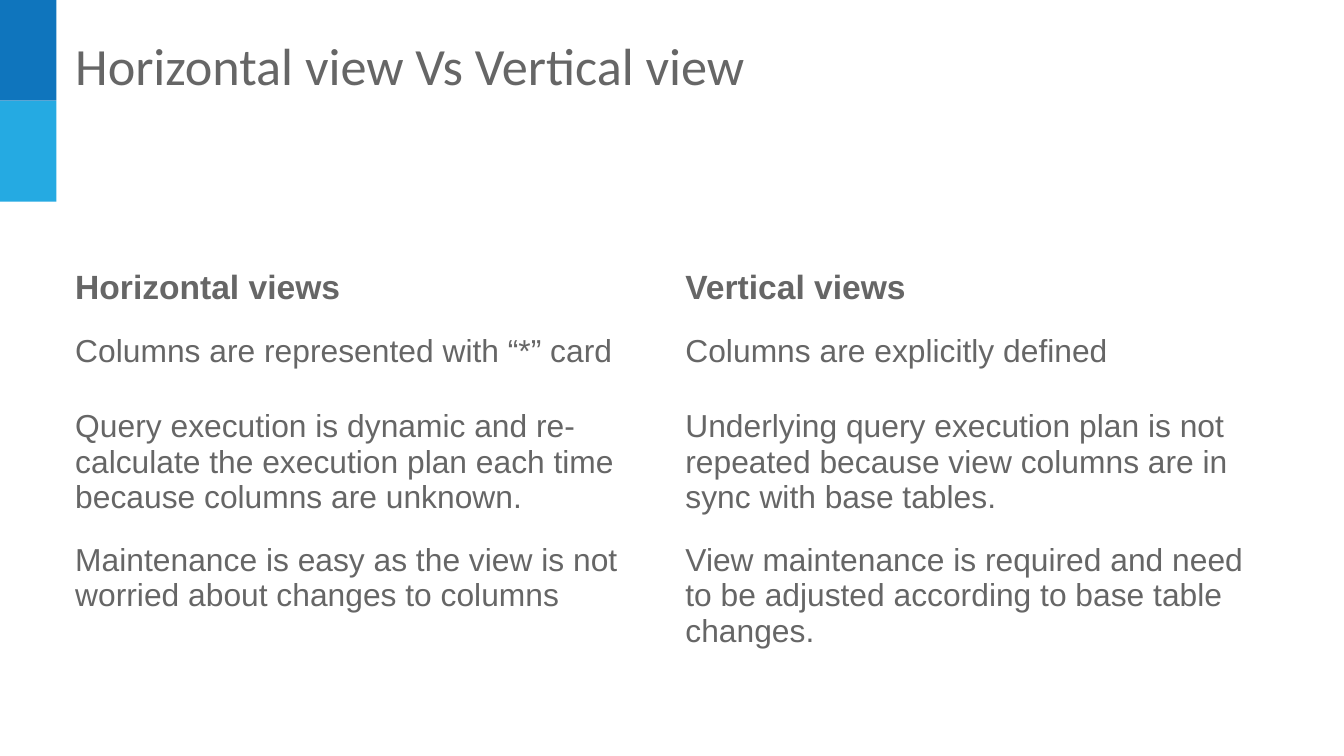
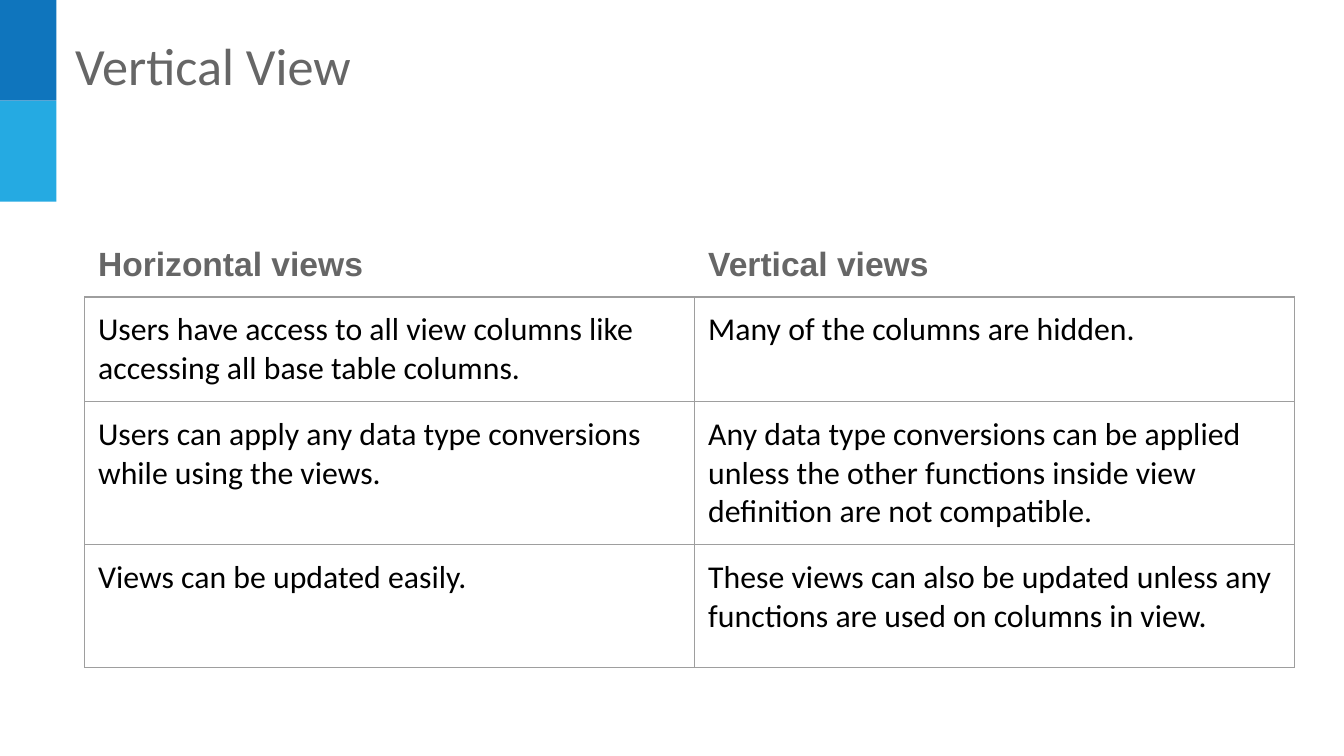
from lxml import etree
from pptx import Presentation
from pptx.dml.color import RGBColor
from pptx.enum.shapes import MSO_SHAPE as Shape
from pptx.enum.text import MSO_ANCHOR as Anchor, MSO_AUTO_SIZE as AutoSize, PP_ALIGN as Align
from pptx.oxml.ns import qn
from pptx.util import Inches, Pt

COLORS = {
    "dark_band": "0F75BD",
    "light_band": "25AAE2",
    "grey": "666666",
    "black": "000000",
    "rule": "9E9E9E",
}
COLUMN_WIDTHS = (4.54, 4.46)
HEADINGS = ("Horizontal views", "Vertical views")
INSET = Inches(0.1)


class Deck:
    """Holds the shared style and the slide being built."""

    def __init__(self):
        self.prs = Presentation()
        # Widescreen, 16:9
        self.prs.slide_width = Inches(10)
        self.prs.slide_height = Inches(10) * 9 // 16
        self.slide = None

    def color(self, name):
        return RGBColor.from_string(COLORS[name])

    def add_slide(self, heading):
        self.slide = self.prs.slides.add_slide(self.prs.slide_layouts[5])
        for row, name in enumerate(("dark_band", "light_band")):
            self.band(0.75 * row, name)
        self.title(heading)

    def band(self, top, name):
        band = self.slide.shapes.add_shape(
            Shape.RECTANGLE, 0, Inches(top), Inches(0.42), Inches(0.75))
        band.fill.solid()
        band.fill.fore_color.rgb = self.color(name)
        band.line.fill.background()
        band.shadow.inherit = False

    def title(self, heading):
        title = self.slide.shapes.title
        title.left, title.top = Inches(0.46), Inches(0.15)
        title.width, title.height = Inches(8.43), Inches(0.58)
        frame = title.text_frame
        frame.text = heading
        frame.word_wrap = True
        frame.auto_size = AutoSize.NONE
        frame.vertical_anchor = Anchor.TOP
        self.set_insets(frame)
        self.format_text(frame, "Calibri", 28, "grey")

    def set_insets(self, holder):
        holder.margin_left = holder.margin_right = INSET
        holder.margin_top = holder.margin_bottom = INSET

    def format_text(self, frame, font, size, color, bold=False):
        for paragraph in frame.paragraphs:
            paragraph.alignment = Align.LEFT
            for run in paragraph.runs:
                run.font.name = font
                run.font.size = Pt(size)
                run.font.bold = bold
                run.font.color.rgb = self.color(color)

    def borders(self, cell, ruled_sides):
        """Rule the given sides (letters out of LRTB) and clear the others."""
        properties = cell._tc.get_or_add_tcPr()
        for index, side in enumerate("LRTB"):
            line = etree.Element(qn(f"a:ln{side}"), w=str(Pt(0.75)))
            if side in ruled_sides:
                fill = etree.SubElement(line, qn("a:solidFill"))
                etree.SubElement(fill, qn("a:srgbClr"), val=COLORS["rule"])
            else:
                etree.SubElement(line, qn("a:noFill"))
            properties.insert(index, line)

    def comparison(self, left, top, heights, rows, font, color, ruled=False):
        content = [HEADINGS, *rows]
        table = self.slide.shapes.add_table(
            len(content), len(HEADINGS), Inches(left), Inches(top),
            Inches(sum(COLUMN_WIDTHS)), Inches(sum(heights))).table
        table.first_row = table.horz_banding = False
        for column, width in zip(table.columns, COLUMN_WIDTHS):
            column.width = Inches(width)
        for index, (row, height, texts) in enumerate(zip(table.rows, heights, content)):
            row.height = Inches(height)
            is_header = index == 0
            for cell, text in zip(row.cells, texts):
                cell.text_frame.text = text
                cell.vertical_anchor = Anchor.TOP
                cell.fill.background()
                self.set_insets(cell)
                if is_header:
                    self.format_text(cell.text_frame, "Arial", 18, "grey", bold=True)
                else:
                    self.format_text(cell.text_frame, font, 17, color)
                sides = "B" if is_header else "LRTB"
                self.borders(cell, sides if ruled else "")


def main():
    deck = Deck()

    # Definition, execution and maintenance
    deck.add_slide("Horizontal view Vs Vertical view")
    deck.comparison(0.46, 1.9, (0.4, 0.56, 0.62, 0.62), [
        ("Columns are represented with “*” card",
         "Columns are explicitly defined"),
        ("Query execution is dynamic and re-calculate the execution plan "
         "each time because columns are unknown.",
         "Underlying query execution plan is not repeated because view "
         "columns are in sync with base tables."),
        ("Maintenance is easy as the view is not worried about changes to columns",
         "View maintenance is required and need to be adjusted according to "
         "base table changes."),
    ], "Arial", "grey")

    # Access, conversions and updates
    deck.add_slide("Vertical View")
    deck.comparison(0.63, 1.73, (0.4, 0.56, 0.62, 0.91), [
        ("Users have access to all view columns like accessing all base table columns.",
         "Many of the columns are hidden."),
        ("Users can apply any data type conversions while using the views.",
         "Any data type conversions can be applied unless the other functions "
         "inside view definition are not compatible."),
        ("Views can be updated easily.",
         "These views can also be updated unless any functions are used on "
         "columns in view."),
    ], "Calibri", "black", ruled=True)

    deck.prs.save("out.pptx")


if __name__ == "__main__":
    main()
